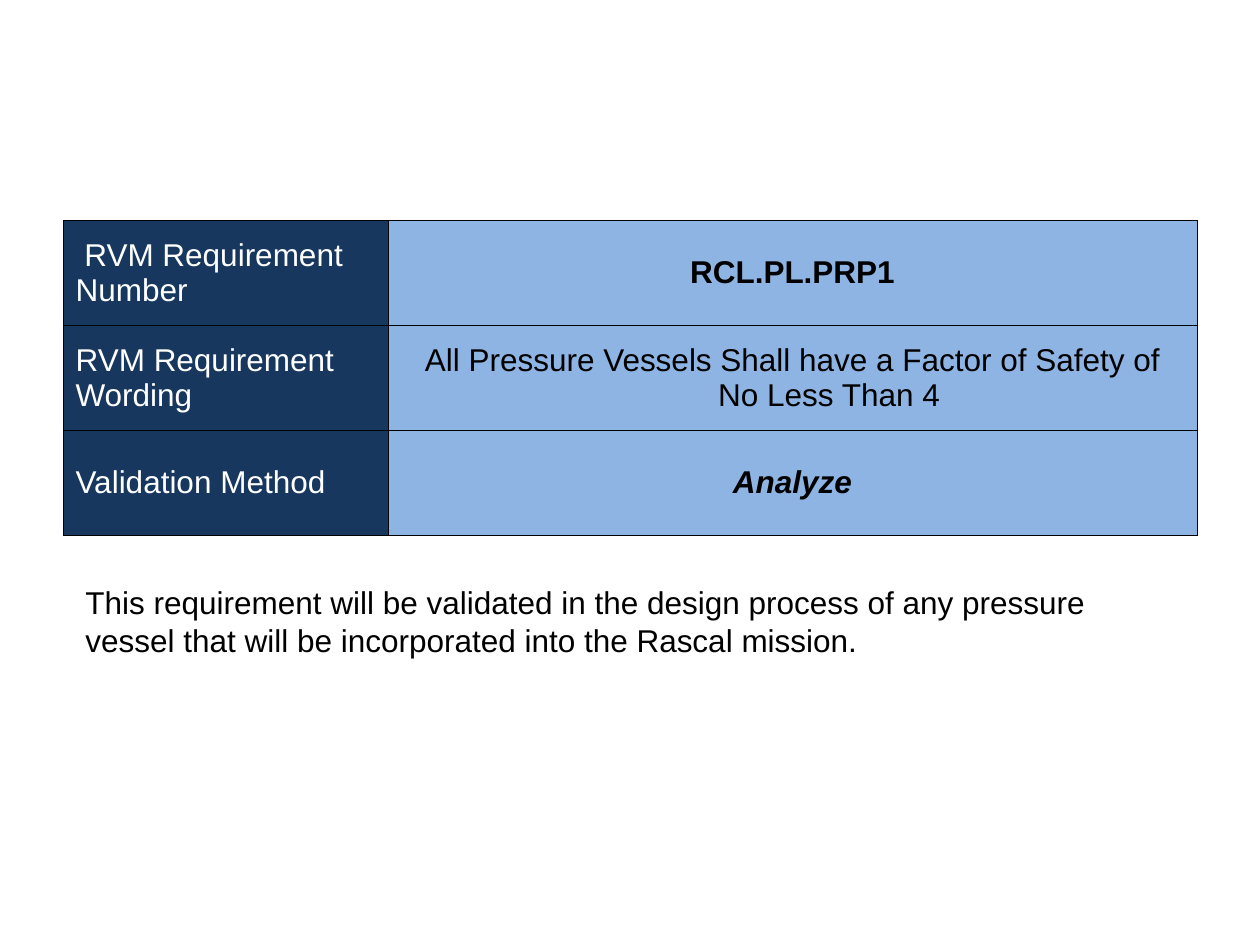
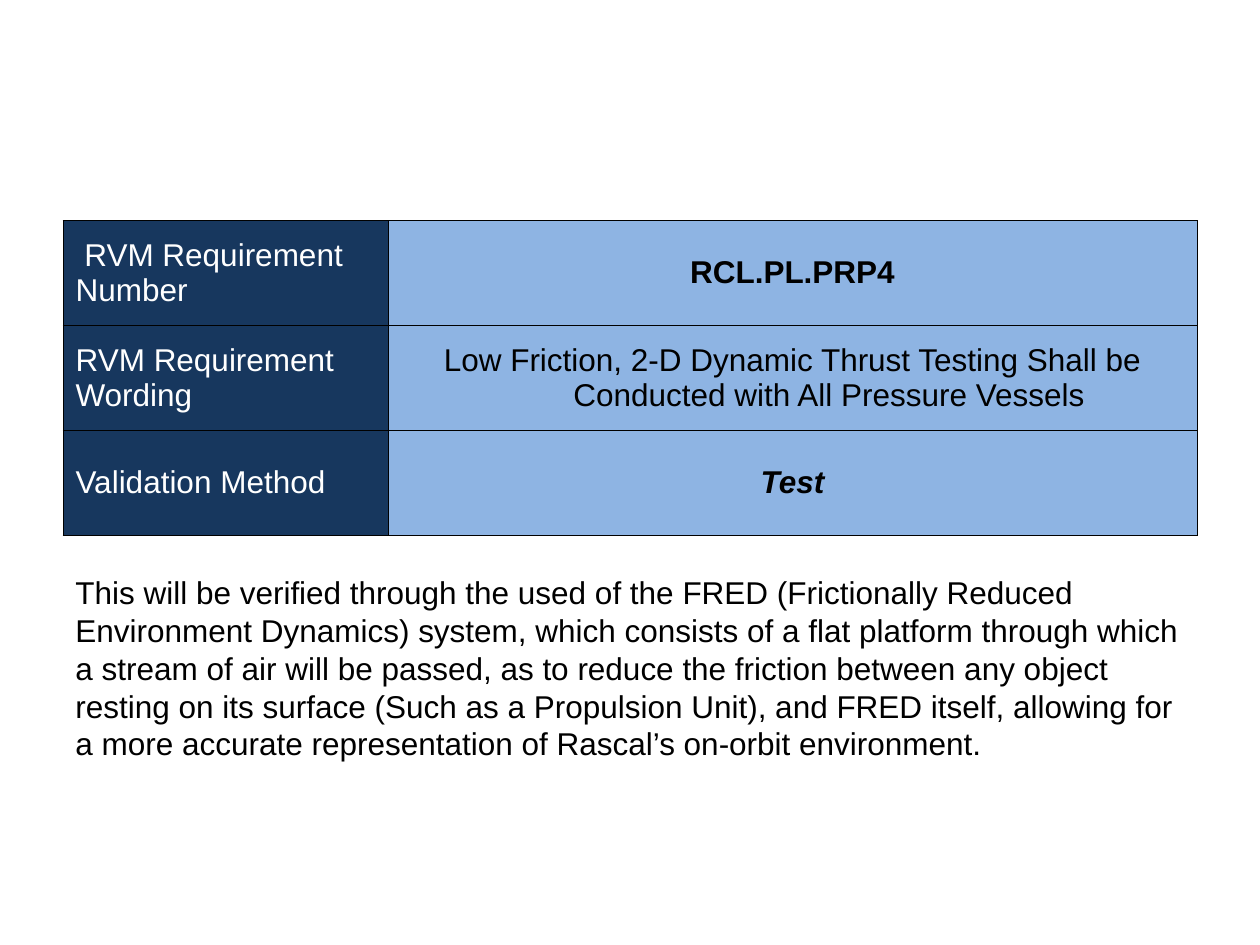
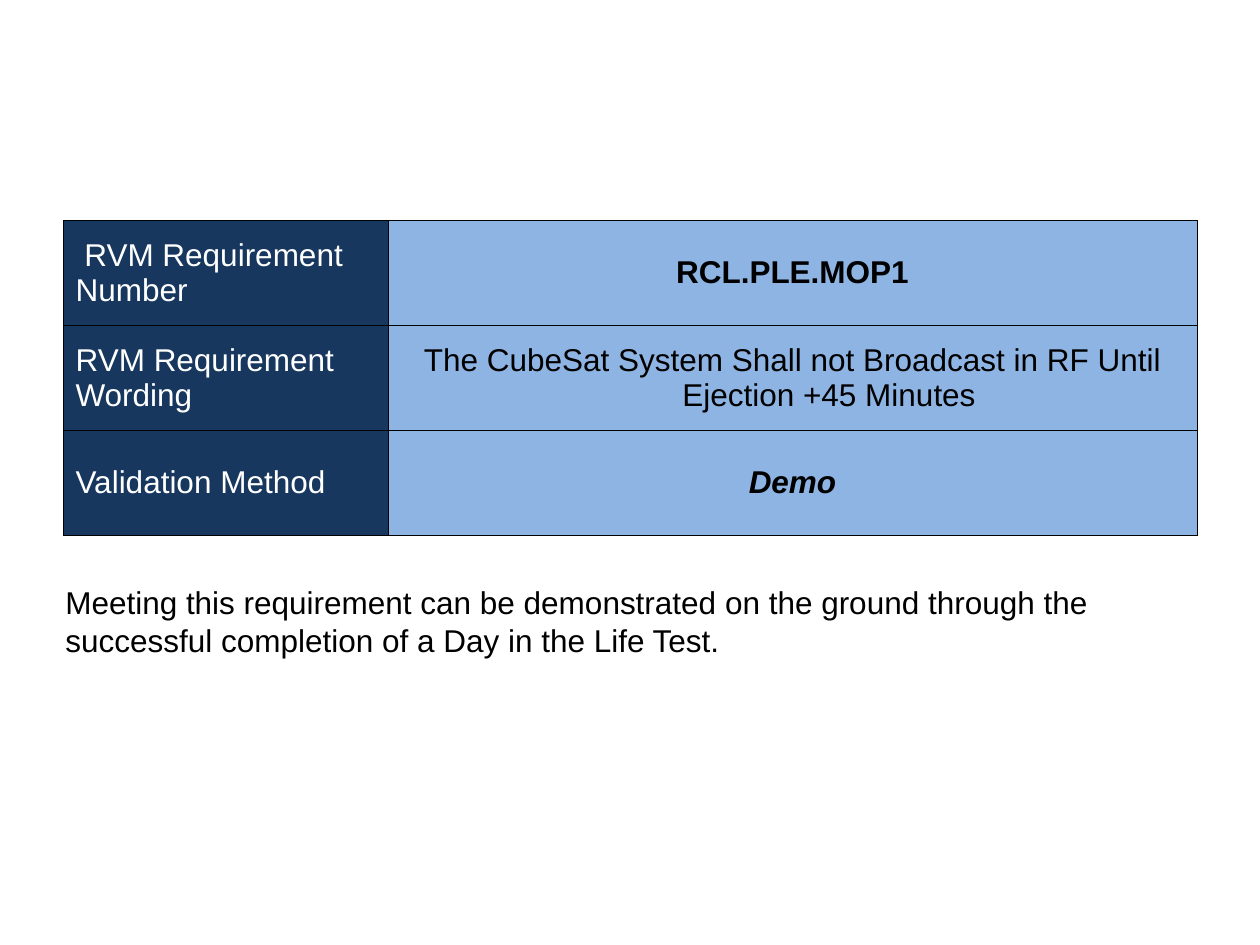
from dataclasses import dataclass

from lxml.etree import SubElement
from pptx import Presentation
from pptx.dml.color import RGBColor
from pptx.enum.text import MSO_ANCHOR, PP_ALIGN
from pptx.oxml.ns import qn
from pptx.util import Inches, Pt


@dataclass(frozen=True)
class Theme:
    font: str = "Arial"
    size: float = 18
    table_leading: float = 20
    note_leading: float = 21.6
    border_width: float = 0.45
    black: str = "000000"
    white: str = "FFFFFF"
    label_fill: str = "17375E"
    value_fill: str = "8EB4E3"


THEME = Theme()

LABELS = [" RVM Requirement Number", "RVM Requirement Wording", "Validation Method"]
VALUE_STYLES = [
    {"bold": True},
    {"hanging": 0.58},
    {"bold": True, "italic": True},
]
REQUIREMENTS = [
    {
        "values": [
            "RCL.PL.PRP1",
            "All Pressure Vessels Shall have a Factor of Safety of No Less Than 4",
            "Analyze",
        ],
        "note": "This requirement will be validated in the design process of any pressure "
                "vessel that will be incorporated into the Rascal mission.",
        "note_area": (0.58, 4.58, 8.83, 0.7),
    },
    {
        "values": [
            "RCL.PL.PRP4",
            "Low Friction, 2-D Dynamic Thrust Testing Shall be Conducted with All Pressure Vessels",
            "Test",
        ],
        "note": "This will be verified through the used of the FRED (Frictionally Reduced "
                "Environment Dynamics) system, which consists of a flat platform through which "
                "a stream of air will be passed, as to reduce the friction between any object "
                "resting on its surface (Such as a Propulsion Unit), and FRED itself, allowing "
                "for a more accurate representation of Rascal’s on-orbit environment.",
        "note_area": (0.5, 4.5, 9.08, 1.6),
    },
    {
        "values": [
            "RCL.PLE.MOP1",
            "The CubeSat System Shall not Broadcast in RF Until Ejection +45 Minutes",
            "Demo",
        ],
        "note": "Meeting this requirement can be demonstrated on the ground through the "
                "successful completion of a Day in the Life Test.",
        "note_area": (0.42, 4.58, 9.08, 1.16),
    },
]

TABLE_AREA = (0.5, 1.75, 9, 2.5)
COLUMN_WIDTHS = (2.58, 6.42)


def write(frame, text, color, leading, align=PP_ALIGN.LEFT, bold=False, italic=False, hanging=0):
    para = frame.paragraphs[0]
    para.alignment = align
    para.line_spacing = Pt(leading)
    if hanging:
        properties = para._p.get_or_add_pPr()
        properties.set("marL", str(Inches(hanging)))
        properties.set("indent", str(-Inches(hanging)))
    span = para.add_run()
    span.text = text
    span.font.name = THEME.font
    span.font.size = Pt(THEME.size)
    span.font.bold = bold
    span.font.italic = italic
    span.font.color.rgb = RGBColor.from_string(color)


def add_borders(cell):
    properties = cell._tc.get_or_add_tcPr()
    for side in ("a:lnL", "a:lnR", "a:lnT", "a:lnB"):
        line = SubElement(properties, qn(side), w=str(Pt(THEME.border_width)))
        fill = SubElement(line, qn("a:solidFill"))
        SubElement(fill, qn("a:srgbClr"), val=THEME.black)


def fill_cell(cell, text, fill, color, **style):
    cell.vertical_anchor = MSO_ANCHOR.MIDDLE
    add_borders(cell)
    cell.fill.solid()
    cell.fill.fore_color.rgb = RGBColor.from_string(fill)
    write(cell.text_frame, text, color, THEME.table_leading, **style)


def add_requirement_table(page, values):
    table = page.shapes.add_table(len(LABELS), 2, *map(Inches, TABLE_AREA)).table
    table.first_row = False
    table.horz_banding = False
    for column, width in zip(table.columns, COLUMN_WIDTHS):
        column.width = Inches(width)
    for index, (label, value, style) in enumerate(zip(LABELS, values, VALUE_STYLES)):
        fill_cell(table.cell(index, 0), label, THEME.label_fill, THEME.white)
        fill_cell(table.cell(index, 1), value, THEME.value_fill, THEME.black,
                  align=PP_ALIGN.CENTER, **style)


def add_note(page, text, area):
    box = page.shapes.add_textbox(*map(Inches, area))
    box.text_frame.word_wrap = True
    write(box.text_frame, text, THEME.black, THEME.note_leading)


def main():
    deck = Presentation()
    deck.slide_width = Inches(10)
    deck.slide_height = Inches(7.5)
    for requirement in REQUIREMENTS:
        page = deck.slides.add_slide(deck.slide_layouts[6])
        add_requirement_table(page, requirement["values"])
        add_note(page, requirement["note"], requirement["note_area"])
    deck.save("out.pptx")


if __name__ == "__main__":
    main()
